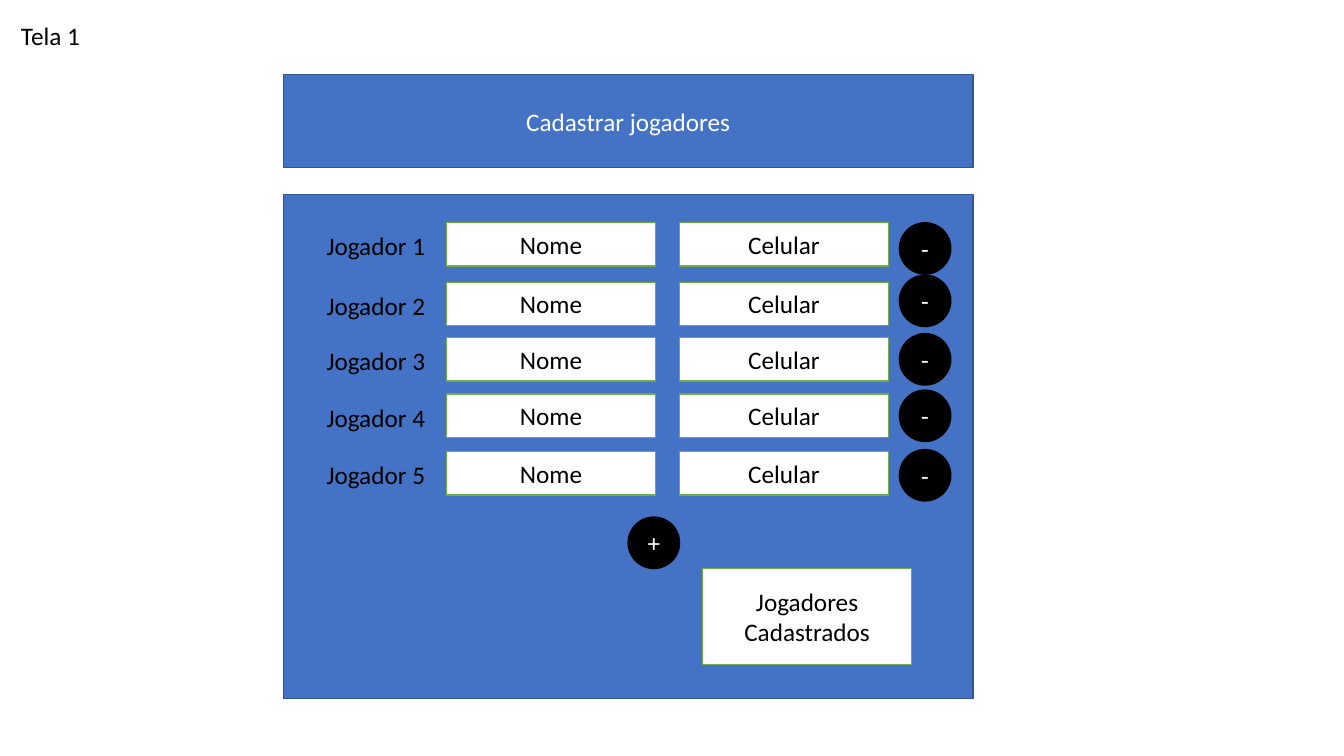
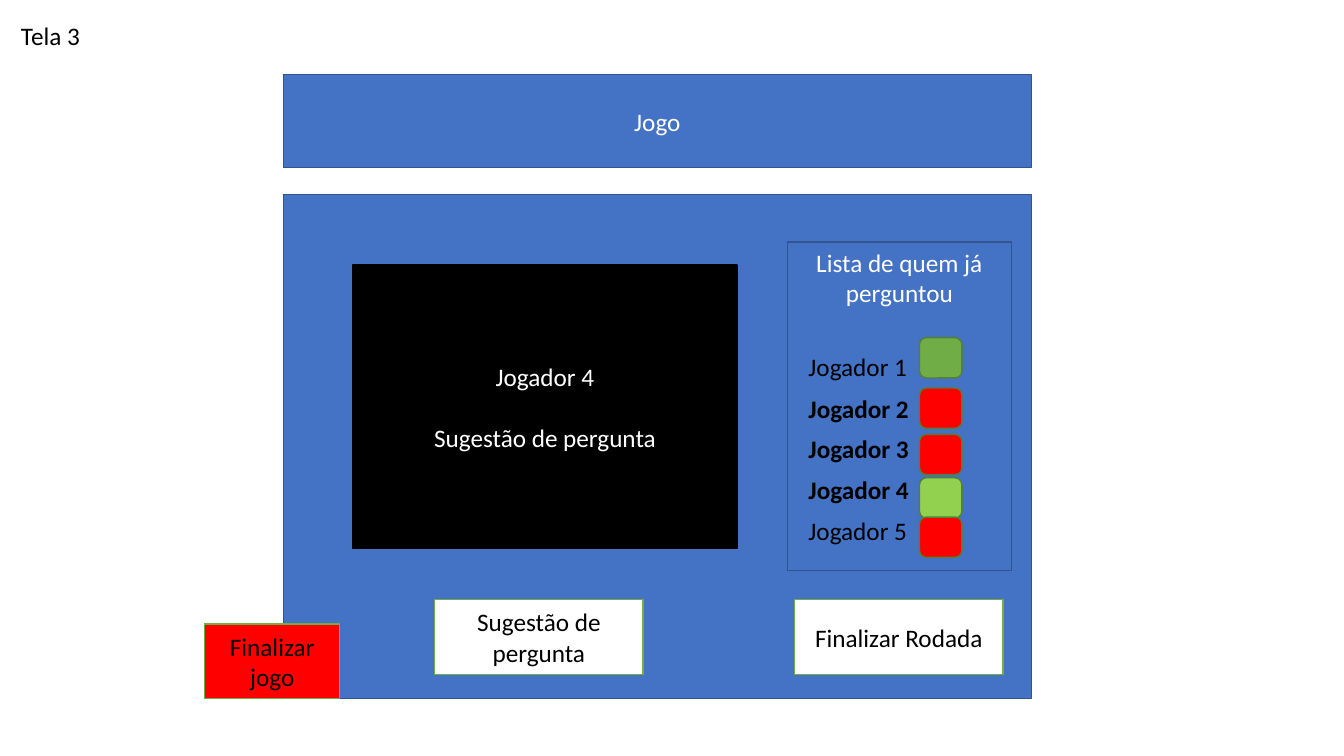
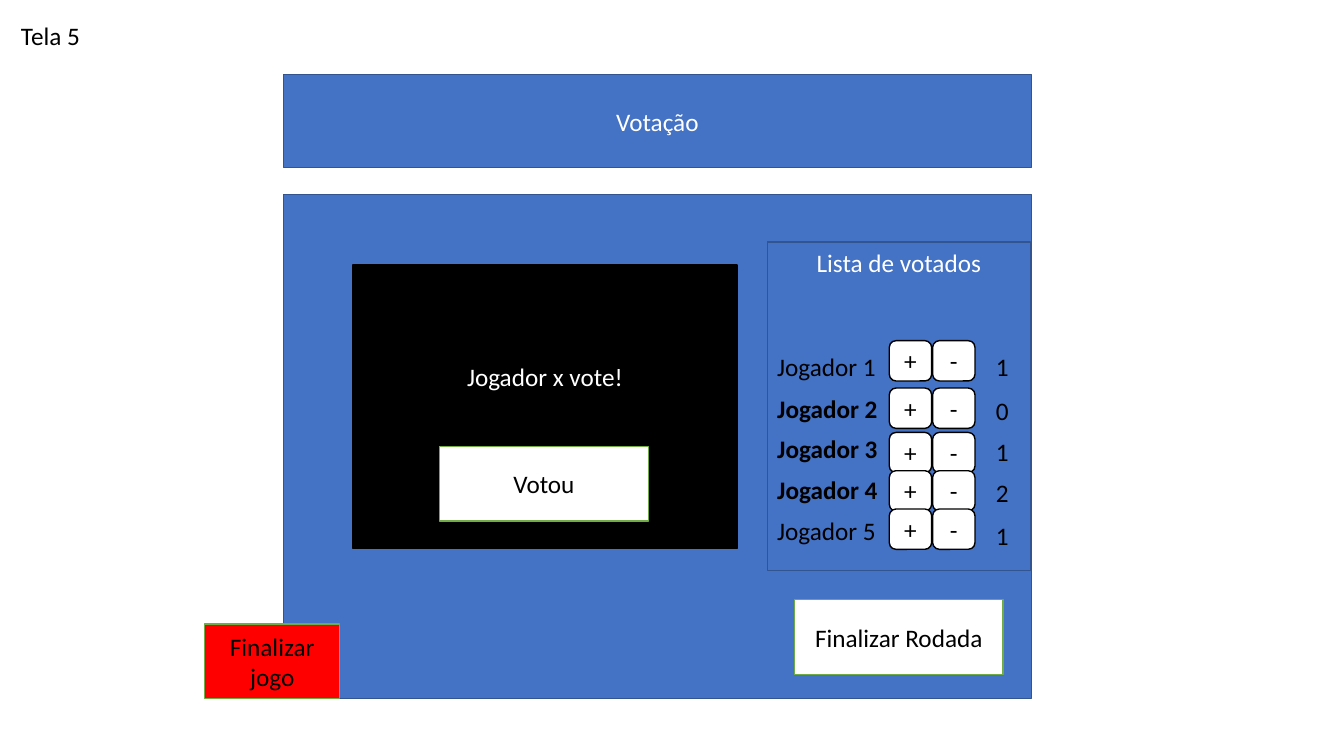
from dataclasses import dataclass

from pptx import Presentation
from pptx import util as u
from pptx.dml.color import RGBColor
from pptx.enum import shapes, text

PX = 9144  # EMU per px, 100 px to the inch
RECT = shapes.MSO_SHAPE.RECTANGLE
ROUND = shapes.MSO_SHAPE.ROUNDED_RECTANGLE
OVAL = shapes.MSO_SHAPE.OVAL
MIDDLE, TOP = text.MSO_ANCHOR.MIDDLE, text.MSO_ANCHOR.TOP


@dataclass(frozen=True)
class Theme:
    font: str = "Calibri"
    size: int = 18
    line_gap: int = 22
    line_width: int = 1
    blue: str = "4472C4"
    navy: str = "325491"
    green: str = "70AD47"
    dark_green: str = "538035"
    lime: str = "92D050"
    red: str = "FF0000"
    black: str = "000000"
    white: str = "FFFFFF"


THEME = Theme()

# Looks: fill, line, text colour
PANEL = (THEME.blue, THEME.navy, THEME.white)
FIELD = (THEME.white, THEME.green, THEME.black)
STOP = (THEME.red, THEME.green, THEME.black)
DARK = (THEME.black, THEME.black, THEME.white)
VOTE = (THEME.white, THEME.black, THEME.black)

# Content: player rows carry their tops in px
REGISTER = {"label": "Tela 1", "title": "Cadastrar jogadores", "width": 684}
REGISTER_ROWS = [  # player, field top, minus button top
    ("Jogador 1", 221, 221),
    ("Jogador 2", 280, 273),
    ("Jogador 3", 335, 331),
    ("Jogador 4", 391, 387),
    ("Jogador 5", 448, 446),
]
FIELDS = [("Nome", 443), ("Celular", 674)]

GAME = {"label": "Tela 3", "title": "Jogo", "width": 742}
VOTING = {"label": "Tela 5", "title": "Votação", "width": 742}
PLAYERS = [  # player, top, bold
    ("Jogador 1", 344, False),
    ("Jogador 2", 385, True),
    ("Jogador 3", 425, True),
    ("Jogador 4", 466, True),
    ("Jogador 5", 506, False),
]
ASKED = [  # colour, top
    (THEME.green, 335),
    (THEME.red, 385),
    (THEME.red, 431),
    (THEME.lime, 474),
    (THEME.red, 513),
]
VOTES = [  # count, count top, buttons top
    ("1", 344, 338),
    ("0", 387, 385),
    ("1", 428, 429),
    ("2", 469, 467),
    ("1", 511, 505),
]
VOTE_BUTTONS = [("+", 882), ("-", 925)]


def px(value):
    return u.Emu(value * PX)


def write(shape, lines, color, align, bold=False):
    for index, line in enumerate(lines):
        frame = shape.text_frame
        paragraph = frame.add_paragraph() if index else frame.paragraphs[0]
        paragraph.alignment = align
        if index:
            paragraph.space_before = u.Pt(THEME.line_gap)
        run = paragraph.add_run()
        run.text = line
        run.font.name = THEME.font
        run.font.size = u.Pt(THEME.size)
        run.font.bold = bold
        run.font.color.rgb = RGBColor.from_string(color)


def dress(shape, look, lines, anchor=MIDDLE):
    fill, line, color = look
    shape.fill.solid()
    shape.fill.fore_color.rgb = RGBColor.from_string(fill)
    shape.line.color.rgb = RGBColor.from_string(line)
    shape.line.width = u.Pt(THEME.line_width)
    shape.text_frame.word_wrap = True
    shape.text_frame.auto_size = text.MSO_AUTO_SIZE.NONE
    shape.text_frame.vertical_anchor = anchor
    write(shape, lines, color, text.PP_ALIGN.CENTER)


def add_box(slide, kind, box, look, *lines, anchor=MIDDLE):
    shape = slide.shapes.add_shape(kind, *map(px, box))
    shape.shadow.inherit = False
    dress(shape, look, lines, anchor)
    return shape


def add_label(slide, left, top, width, words, bold=False):
    label = slide.shapes.add_textbox(*map(px, (left, top, width, 40)))
    label.text_frame.word_wrap = False
    label.text_frame.auto_size = text.MSO_AUTO_SIZE.SHAPE_TO_FIT_TEXT
    write(label, [words], THEME.black, text.PP_ALIGN.LEFT, bold)


def add_screen(presentation, screen):
    """Title band, main panel and screen label."""
    slide = presentation.slides.add_slide(presentation.slide_layouts[5])
    title = slide.shapes.title
    title.left, title.top = px(281), px(74)
    title.width, title.height = px(screen["width"]), px(92)
    dress(title, PANEL, [screen["title"]])
    add_box(slide, RECT, (281, 193, screen["width"], 500), PANEL)
    add_label(slide, 11, 15, 79, screen["label"])
    return slide


def add_round_screen(presentation, screen, message, list_title, list_box, names_left):
    """Screen with a message, a player list and the finish buttons."""
    slide = add_screen(presentation, screen)
    board = add_box(slide, RECT, (350, 263, 381, 281), DARK, *message)
    add_box(slide, RECT, list_box, PANEL, list_title, anchor=TOP)
    for player, top, bold in PLAYERS:
        add_label(slide, names_left, top, 121, player, bold)
    add_box(slide, RECT, (788, 595, 207, 74), FIELD, "Finalizar Rodada")
    add_box(slide, RECT, (203, 619, 134, 74), STOP, "Finalizar jogo")
    return slide, board


def build_register(presentation):
    slide = add_screen(presentation, REGISTER)
    for player, top, minus_top in REGISTER_ROWS:
        add_label(slide, 314, top + 3, 119, player)
        for field, left in FIELDS:
            add_box(slide, RECT, (left, top, 207, 43), FIELD, field)
        add_box(slide, OVAL, (892, minus_top, 51, 51), DARK, "-")
    add_box(slide, OVAL, (623, 513, 51, 51), DARK, "+")
    add_box(slide, RECT, (697, 564, 207, 95), FIELD, "Jogadores Cadastrados")


def build_game(presentation):
    slide, _ = add_round_screen(
        presentation, GAME, ["Jogador 4", "Sugestão de pergunta"],
        "Lista de quem já perguntou", (781, 240, 222, 326), 792)
    for color, top in ASKED:
        look = (color, THEME.dark_green, THEME.white)
        add_box(slide, ROUND, (912, top, 42, 40), look)
    add_box(slide, RECT, (431, 595, 207, 74), FIELD, "Sugestão de pergunta")


def build_voting(presentation):
    slide, board = add_round_screen(
        presentation, VOTING, ["Jogador x vote!"],
        "Lista de votados", (761, 240, 261, 326), 761)
    board.text_frame.margin_bottom = px(66)  # lifts the message above the button
    for count, count_top, button_top in VOTES:
        for sign, left in VOTE_BUTTONS:
            add_box(slide, ROUND, (left, button_top, 42, 40), VOTE, sign)
        add_label(slide, 978, count_top, 33, count)
    add_box(slide, RECT, (436, 443, 207, 74), FIELD, "Votou")


def main():
    presentation = Presentation()
    presentation.slide_width, presentation.slide_height = px(1333), px(750)
    for build in (build_register, build_game, build_voting):
        build(presentation)
    presentation.save("out.pptx")


if __name__ == "__main__":
    main()
